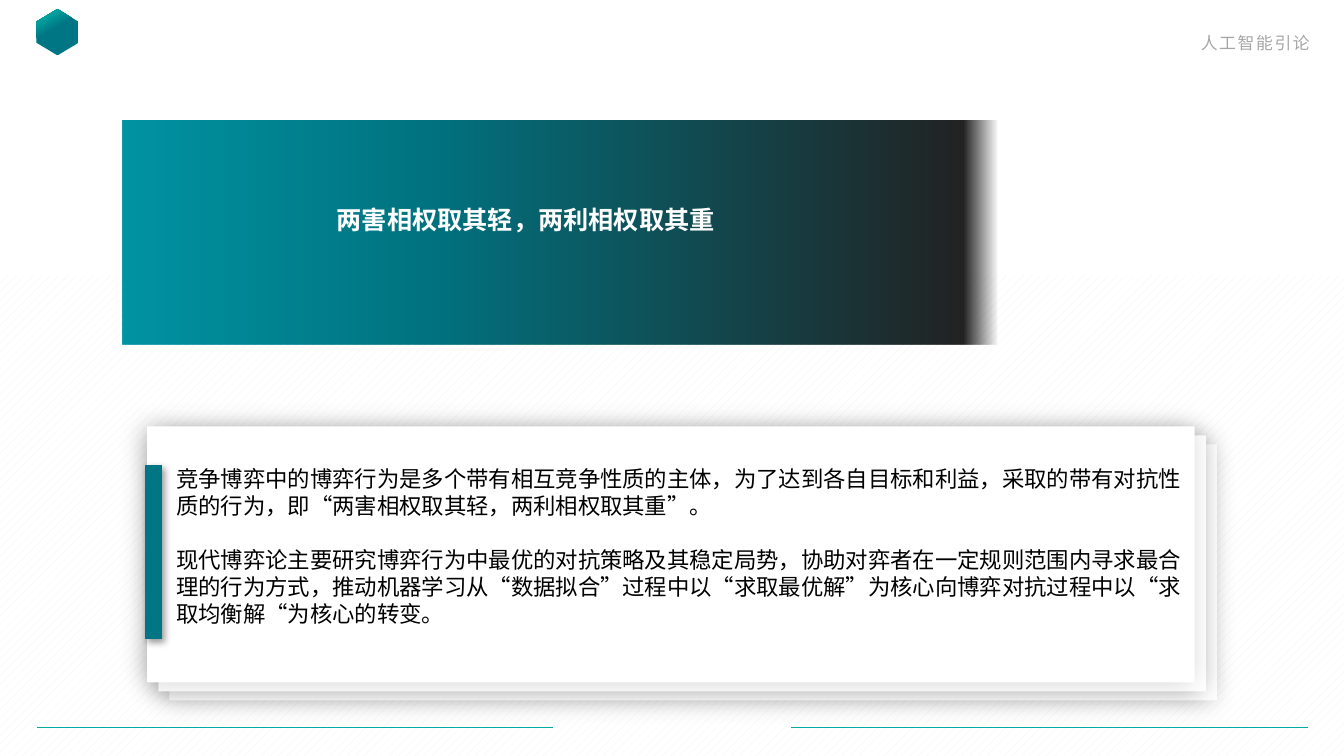
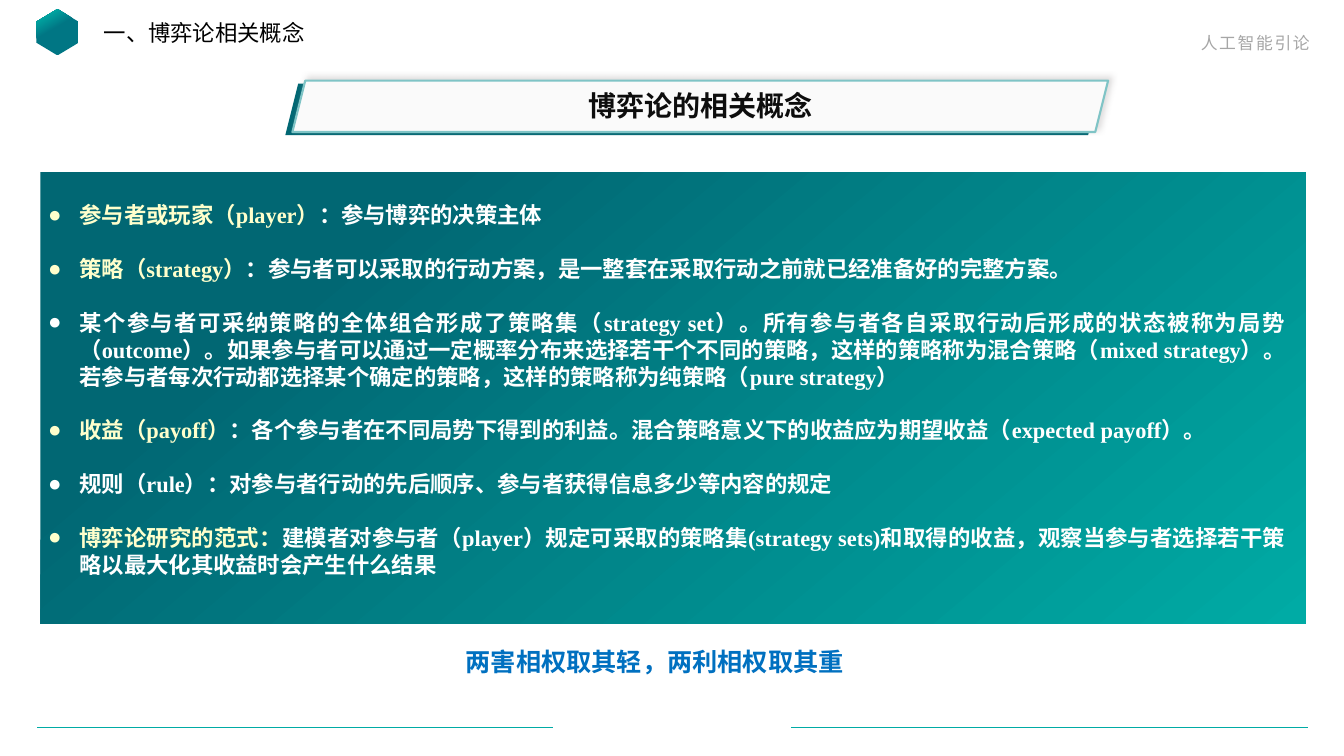
from dataclasses import dataclass
from typing import NamedTuple, Optional

import pptx
import pptx.dml.color
import pptx.enum.dml
import pptx.enum.shapes
import pptx.enum.text
import pptx.oxml
import pptx.oxml.ns
import pptx.util

Inches = pptx.util.Inches
Pt = pptx.util.Pt
RGBColor = pptx.dml.color.RGBColor
SHAPE = pptx.enum.shapes.MSO_SHAPE
ALIGN = pptx.enum.text.PP_ALIGN
qn = pptx.oxml.ns.qn

WHITE = RGBColor(0xFF, 0xFF, 0xFF)
BLACK = RGBColor(0x00, 0x00, 0x00)
INK = RGBColor(0x0D, 0x0D, 0x0D)
GRAY = RGBColor(0xA6, 0xA6, 0xA6)
SHADOW_GRAY = RGBColor(0xAF, 0xAB, 0xAB)
PATTERN_GRAY = RGBColor(0xF2, 0xF2, 0xF2)
OFF_WHITE = RGBColor(0xFA, 0xFA, 0xFA)
CHARCOAL = RGBColor(0x22, 0x22, 0x22)
TEAL = RGBColor(0x00, 0x76, 0x84)
DARK_TEAL = RGBColor(0x01, 0x67, 0x73)
MID_TEAL = RGBColor(0x01, 0x71, 0x7E)
BRIGHT_TEAL = RGBColor(0x00, 0x93, 0xA2)
GREEN = RGBColor(0x00, 0xAB, 0xA5)
PALE_TEAL = RGBColor(0x7F, 0xC4, 0xC6)
CREAM = RGBColor(0xFF, 0xFF, 0xCC)
BLUE = RGBColor(0x00, 0x70, 0xC0)

CJK = "Noto Sans CJK SC"
SERIF = "Times New Roman"
LINE_RATIO = 1.2
MOTTO = "两害相权取其轻，两利相权取其重"


class Box(NamedTuple):
    left: float
    top: float
    width: float
    height: float


class Stop(NamedTuple):
    pos: int
    color: RGBColor
    alpha: int = 100


class Shadow(NamedTuple):
    color: RGBColor
    alpha: int
    blur: float
    dist: float
    angle: int


class Run(NamedTuple):
    text: str
    color: RGBColor


@dataclass(frozen=True)
class Style:
    size: float
    font: str = SERIF
    bold: bool = False
    align: ALIGN = ALIGN.LEFT
    wrap: bool = True
    bullet: bool = False
    tracking: Optional[int] = None


HEADER = Style(12, CJK, align=ALIGN.RIGHT, tracking=120)
BANNER = Style(18, "Calibri", bold=True)
BODY = Style(16)
SECTION = Style(16, wrap=False)
TITLE = Style(20, bold=True, align=ALIGN.CENTER)
CONCEPT = Style(16, bold=True, align=ALIGN.JUSTIFY, bullet=True)
CLOSING = Style(18, CJK, bold=True, wrap=False)

CARD = Box(1.46, 4.23, 10.39, 2.54)
CARD_STEP = (0.11, 0.09)
CARD_ALPHAS = (22, 30, 19)
FOOTER_SPANS = ((0.37, 5.48), (7.85, 12.97))

GAME_TEXT = [
    [Run("竞争博弈中的博弈行为是多个带有相互竞争性质的主体，为了达到各自目标和利益，采取的带有对抗性质的行为，即“两害相权取其轻，两利相权取其重”。", BLACK)],
    [Run("现代博弈论主要研究博弈行为中最优的对抗策略及其稳定局势，协助对弈者在一定规则范围内寻求最合理的行为方式，推动机器学习从“数据拟合”过程中以“求取最优解”为核心向博弈对抗过程中以“求取均衡解“为核心的转变。", BLACK)],
]
CONCEPTS = [
    [Run("参与者或玩家（player）", CREAM), Run("：参与博弈的决策主体", WHITE)],
    [Run("策略（strategy）", CREAM),
     Run("：参与者可以采取的行动方案，是一整套在采取行动之前就已经准备好的完整方案。", WHITE)],
    [Run("某个参与者可采纳策略的全体组合形成了策略集（strategy set）。所有参与者各自采取行动后形成的状态被称为局势（outcome）。如果参与者可以通过一定概率分布来选择若干个不同的策略，这样的策略称为混合策略（mixed strategy）。 若参与者每次行动都选择某个确定的策略，这样的策略称为纯策略（pure strategy）", WHITE)],
    [Run("收益（payoff）", CREAM),
     Run("：各个参与者在不同局势下得到的利益。混合策略意义下的收益应为期望收益（expected payoff）。", WHITE)],
    [Run("规则（rule）：对参与者行动的先后顺序、参与者获得信息多少等内容的规定", WHITE)],
    [Run("博弈论研究的范式：", CREAM),
     Run("建模者对参与者（player）规定可采取的策略集(strategy sets)和取得的收益，观察当参与者选择若干策略以最大化其收益时会产生什么结果", WHITE)],
]


def add_child(parent, tag: str, **attrs):
    el = pptx.oxml.parse_xml(f'<{tag} {pptx.oxml.ns.nsdecls("a")}/>')
    for key, value in attrs.items():
        el.set(key, str(value))
    parent.append(el)
    return el


def add_color(parent, color: RGBColor, alpha: int) -> None:
    el = add_child(parent, "a:srgbClr", val=color)
    if alpha < 100:
        add_child(el, "a:alpha", val=alpha * 1000)


def add_shadow(effects, shadow: Shadow) -> None:
    el = add_child(effects, "a:outerShdw", blurRad=Pt(shadow.blur), dist=Pt(shadow.dist),
                   dir=shadow.angle * 60000, algn="ctr", rotWithShape=0)
    add_color(el, shadow.color, shadow.alpha)


def draw_shape(s, kind: SHAPE, box: Box, fill: Optional[RGBColor] = None,
               line: Optional[RGBColor] = None, shadow: Optional[Shadow] = None):
    sp = s.shapes.add_shape(kind, *map(Inches, box))
    sp.shadow.inherit = False
    if fill is not None:
        sp.fill.solid()
        sp.fill.fore_color.rgb = fill
    if line is None:
        sp.line.fill.background()
    else:
        sp.line.color.rgb = line
        sp.line.width = Pt(1.5)
    if shadow:
        add_shadow(sp._element.spPr.find(qn("a:effectLst")), shadow)
    return sp


def fill_gradient(sp, stops: list[Stop], angle: int) -> None:
    sp.fill.gradient()
    sp.fill.gradient_angle = (360 - angle) % 360
    stop_list = sp._element.spPr.find(qn("a:gradFill")).find(qn("a:gsLst"))
    for old in list(stop_list):
        stop_list.remove(old)
    for stop in stops:
        add_color(add_child(stop_list, "a:gs", pos=stop.pos * 1000), stop.color, stop.alpha)


def draw_line(s, start: tuple[float, float], end: tuple[float, float], color: RGBColor,
              width: float, shadow: Optional[Shadow] = None) -> None:
    cn = s.shapes.add_connector(pptx.enum.shapes.MSO_CONNECTOR.STRAIGHT,
                                *map(Inches, (*start, *end)))
    cn.line.color.rgb = color
    cn.line.width = Pt(width)
    effects = add_child(cn._element.spPr, "a:effectLst")
    if shadow:
        add_shadow(effects, shadow)


def draw_text(s, box: Box, paragraphs: list[list[Run]], style: Style) -> None:
    tf = s.shapes.add_textbox(*map(Inches, box)).text_frame
    tf.word_wrap = style.wrap
    pitch = Pt(style.size * LINE_RATIO)
    font_format = {"size": Pt(style.size), "name": style.font, "bold": style.bold}
    for i, runs in enumerate(paragraphs):
        p = tf.add_paragraph() if i else tf.paragraphs[0]
        para_format = {"alignment": style.align, "line_spacing": pitch,
                       "space_before": pitch if i else Pt(0)}
        for key, value in para_format.items():
            setattr(p, key, value)
        if style.bullet:
            ppr = p._p.get_or_add_pPr()
            ppr.set("marL", str(Inches(0.31)))
            ppr.set("indent", str(-Inches(0.31)))
            add_child(ppr, "a:buFont", typeface=SERIF)
            add_child(ppr, "a:buChar", char="●")
        for run in runs:
            r = p.add_run()
            r.text = run.text
            for key, value in font_format.items():
                setattr(r.font, key, value)
            r.font.color.rgb = run.color
            rpr = r._r.get_or_add_rPr()
            add_child(rpr, "a:ea", typeface=CJK)
            if style.tracking is not None:
                rpr.set("spc", str(style.tracking))


def draw_frame(s) -> None:
    draw_text(s, Box(9.57, 0.28, 3.52, 0.3), [[Run("人工智能引论", GRAY)]], HEADER)
    emblem = draw_shape(s, SHAPE.HEXAGON, Box(0.34, 0.11, 0.46, 0.42))
    emblem.rotation = 90
    emblem.adjustments[0] = 0.3
    fill_gradient(emblem, [Stop(57, TEAL), Stop(87, GREEN)], 150)
    for left, right in FOOTER_SPANS:
        draw_line(s, (left, 7.22), (right, 7.22), GREEN, 0.5)


def build_game_slide(s) -> None:
    backdrop = draw_shape(s, SHAPE.RECTANGLE, Box(0, 2.73, 13.33, 4.77))
    backdrop.fill.patterned()
    backdrop.fill.pattern = pptx.enum.dml.MSO_PATTERN.DASHED_UPWARD_DIAGONAL
    backdrop.fill.fore_color.rgb = PATTERN_GRAY
    backdrop.fill.back_color.rgb = WHITE
    draw_frame(s)
    for i, alpha in enumerate(CARD_ALPHAS):
        depth = len(CARD_ALPHAS) - 1 - i
        box = CARD._replace(left=CARD.left + depth * CARD_STEP[0],
                            top=CARD.top + depth * CARD_STEP[1])
        draw_shape(s, SHAPE.RECTANGLE, box, WHITE, shadow=Shadow(BLACK, alpha, 19, 3, 180))
    draw_line(s, (1.52, 4.61), (1.52, 6.34), TEAL, 12, Shadow(BLACK, 40, 5, 3, 45))
    banner = draw_shape(s, SHAPE.RECTANGLE, Box(1.22, 1.2, 8.67, 2.22))
    fill_gradient(banner, [Stop(0, BRIGHT_TEAL), Stop(36, MID_TEAL),
                           Stop(96, CHARCOAL), Stop(100, CHARCOAL, 0)], 0)
    draw_text(s, Box(3.24, 1.98, 4.88, 0.4), [[Run(MOTTO, WHITE)]], BANNER)
    draw_text(s, Box(1.65, 4.57, 10.24, 1.73), GAME_TEXT, BODY)


def build_concept_slide(s) -> None:
    draw_frame(s)
    draw_shape(s, SHAPE.PARALLELOGRAM, Box(2.83, 0.83, 8.09, 0.51), DARK_TEAL)
    draw_shape(s, SHAPE.PARALLELOGRAM, Box(2.9, 0.8, 8.09, 0.51), OFF_WHITE, PALE_TEAL,
               Shadow(SHADOW_GRAY, 40, 4, 3, 315))
    draw_text(s, Box(3.2, 0.83, 7.49, 0.44), [[Run("博弈论的相关概念", INK)]], TITLE)
    draw_text(s, Box(0.93, 0.14, 2.22, 0.37), [[Run("一、博弈论相关概念", BLACK)]], SECTION)
    panel = draw_shape(s, SHAPE.RECTANGLE, Box(0.4, 1.71, 12.55, 4.48))
    fill_gradient(panel, [Stop(22, DARK_TEAL), Stop(100, GREEN)], 50)
    draw_text(s, Box(0.38, 1.95, 12.47, 4.41), CONCEPTS, CONCEPT)
    draw_text(s, Box(4.52, 6.36, 3.99, 0.4), [[Run(MOTTO, BLUE)]], CLOSING)


def main() -> None:
    prs = pptx.Presentation()
    prs.slide_width = Inches(13.33)
    prs.slide_height = Inches(7.5)
    for build in (build_game_slide, build_concept_slide):
        build(prs.slides.add_slide(prs.slide_layouts[6]))
    prs.save("out.pptx")


if __name__ == "__main__":
    main()
